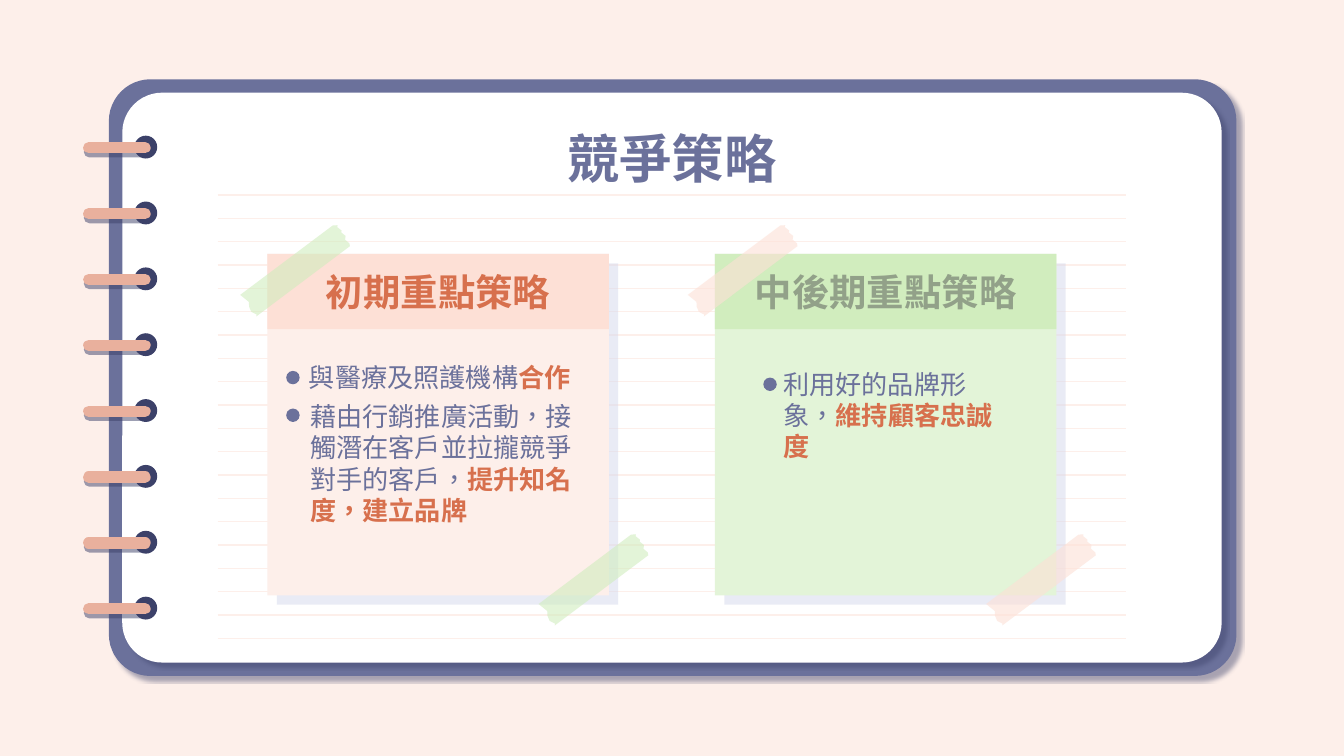
from dataclasses import dataclass
from lxml.etree import SubElement
from pptx import Presentation
from pptx.dml.color import RGBColor
from pptx.enum.shapes import MSO_CONNECTOR, MSO_SHAPE
from pptx.enum.text import MSO_ANCHOR, MSO_AUTO_SIZE, PP_ALIGN
from pptx.oxml.ns import qn
from pptx.util import Inches, Pt


@dataclass(frozen=True)
class Theme:
    face: str = "Noto Sans CJK SC"
    lang: str = "zh-TW"
    ink: str = "6B719B"
    dark: str = "3C4169"
    blush: str = "FDEFEA"
    peach: str = "FDE0D6"
    mint: str = "E3F4D8"
    green: str = "D1EDBE"
    sage: str = "92A189"
    rust: str = "D7704D"
    wire: str = "E9B09D"
    shade: str = "D6D9ED"
    white: str = "FFFFFF"
    title: int = 28
    head: int = 20
    body: int = 14


T = Theme()
PAGE = dict(color=T.dark, alpha=44, blur=1.1, dist=4.5, angle=44)
DROP = dict(color=T.dark, alpha=50, blur=0, dist=2.2, angle=80)
BOX = dict(word_wrap=True, vertical_anchor=MSO_ANCHOR.MIDDLE,
           margin_left=Inches(0.1), margin_right=Inches(0.1),
           margin_top=Inches(0.1), margin_bottom=Inches(0.1))
NOTE = dict(word_wrap=True, auto_size=MSO_AUTO_SIZE.SHAPE_TO_FIT_TEXT)

# Torn tape outline, lying flat
TAPE = [(0.01, 0), (0.02, 0.04), (0.03, 0.08), (0.01, 0.11), (0, 0.15),
        (0.02, 0.19), (0.01, 0.2), (0.88, 0.2), (0.89, 0.18), (0.88, 0.14),
        (0.9, 0.12), (0.89, 0.08), (0.9, 0.07), (0.89, 0.03), (0.9, 0.02),
        (0.87, 0)]


def style(item, values):
    for key, value in values.items():
        setattr(item, key, value)


def fade(color, alpha):
    SubElement(color, qn("a:alpha"), val=str(alpha * 1000))


def cast(shape, color=None, alpha=0, blur=0, dist=0, angle=0):
    """Set the shadow; with no colour there is none."""
    effects = SubElement(shape._element.spPr, qn("a:effectLst"))
    if color:
        outer = SubElement(effects, qn("a:outerShdw"), blurRad=str(Pt(blur)),
                           dist=str(Pt(dist)), dir=str(angle * 60000),
                           algn="bl", rotWithShape="0")
        fade(SubElement(outer, qn("a:srgbClr"), val=color), alpha)


def paint(shape, color, alpha=100, shadow=None):
    shape.fill.solid()
    shape.fill.fore_color.rgb = RGBColor.from_string(color)
    if alpha < 100:
        fade(shape._element.spPr.find(".//" + qn("a:srgbClr")), alpha)
    shape.line.fill.background()
    cast(shape, **(shadow or {}))
    return shape


def block(slide, kind, box, color, **look):
    shape = slide.shapes.add_shape(kind, *map(Inches, box))
    return paint(shape, color, **look)


def rule(slide, x1, x2, y, color, width, shadow=None):
    line = slide.shapes.add_connector(
        MSO_CONNECTOR.STRAIGHT, *map(Inches, (x1, y, x2, y)))
    line.line.color.rgb = RGBColor.from_string(color)
    line.line.width = Pt(width)
    cast(line, **(shadow or {}))
    return line


def write(shape, runs, size, frame, align=PP_ALIGN.LEFT):
    """Fill a shape with runs of (text, colour, bold)."""
    style(shape.text_frame, frame)
    para = shape.text_frame.paragraphs[0]
    para.alignment = align
    # Keep commas inside the margin
    para._p.get_or_add_pPr().set("hangingPunct", "0")
    for text, color, bold in runs:
        run = para.add_run()
        run.text = text
        style(run.font, dict(size=Pt(size), bold=bold, name=T.face))
        run.font.color.rgb = RGBColor.from_string(color)
        props = run._r.get_or_add_rPr()
        props.set("lang", T.lang)
        SubElement(props, qn("a:ea"), typeface=T.face)


def label(slide, box, runs, size, frame, align=PP_ALIGN.LEFT):
    shape = slide.shapes.add_textbox(*map(Inches, box))
    write(shape, runs, size, frame, align)


def tape(slide, x, y, color):
    points = [(Inches(x + dx), Inches(y + dy)) for dx, dy in TAPE]
    build = slide.shapes.build_freeform(*points[0])
    build.add_line_segments(points[1:])
    paint(build.convert_to_shape(), color, alpha=60).rotation = 323.1


def notebook(slide):
    # Cover and sheet
    for box, color, curve in (((0.81, 0.59, 8.39, 4.44), T.ink, 0.07),
                              ((0.91, 0.69, 8.18, 4.24), T.white, 0.07)):
        page = block(slide, MSO_SHAPE.ROUNDED_RECTANGLE, box, color, shadow=PAGE)
        page.adjustments[0] = curve
    # Ruled lines
    for row in range(20):
        rule(slide, 1.62, 8.38, 1.45 + row * 3.3 / 19, T.blush, 0.75)
    # Binding rings
    for ring in range(8):
        y = 1.1 + ring * 0.49
        block(slide, MSO_SHAPE.OVAL, (1, y - 0.09, 0.17, 0.17), T.dark)
        wire = rule(slide, 0.66, 1.08, y, T.wire, 6, DROP)
        wire._element.spPr.find(qn("a:ln")).set("cap", "rnd")


def card(slide, x, head, ink, top, base, strip):
    y, side = 1.89, 2.54
    rect = MSO_SHAPE.RECTANGLE
    block(slide, rect, (x + 0.07, y + 0.07, side, side), T.shade, alpha=52)
    block(slide, rect, (x, y, side, side), base)
    bar = block(slide, rect, (x, y, side, 0.56), top)
    write(bar, [(head, ink, True)], T.head, BOX, PP_ALIGN.CENTER)
    tape(slide, x - 0.24, y + 0.02, strip)
    tape(slide, x + 1.98, y + 2.32, strip)


def point(slide, box, dot, plain, strong):
    runs = [(plain, T.ink, False), (strong, T.rust, True)]
    label(slide, box, runs, T.body, NOTE)
    block(slide, MSO_SHAPE.OVAL, (*dot, 0.1, 0.1), T.ink)


def main():
    deck = Presentation()
    wide = Inches(10)
    style(deck, dict(slide_width=wide, slide_height=wide * 9 // 16))
    slide = deck.slides.add_slide(deck.slide_layouts[6])
    slide.background.fill.solid()
    slide.background.fill.fore_color.rgb = RGBColor.from_string(T.blush)

    notebook(slide)
    label(slide, (1.77, 0.94, 6.46, 0.46), [("競爭策略", T.ink, True)],
          T.title, BOX, PP_ALIGN.CENTER)

    # Early stage
    card(slide, 1.99, "初期重點策略", T.rust, T.peach, T.blush, T.green)
    point(slide, (2.21, 2.93, 2.15, 1.04), (2.13, 3.04),
          "藉由行銷推廣活動，接觸潛在客戶並拉攏競爭對手的客戶，",
          "提升知名度，建立品牌")
    point(slide, (2.2, 2.64, 2.24, 0.34), (2.13, 2.76),
          "與醫療及照護機構", "合作")

    # Middle and late stage
    card(slide, 5.32, "中後期重點策略", T.sage, T.green, T.mint, T.peach)
    point(slide, (5.73, 2.69, 1.77, 0.57), (5.68, 2.81),
          "利用好的品牌形象，", "維持顧客忠誠度")

    deck.save("out.pptx")


if __name__ == "__main__":
    main()
